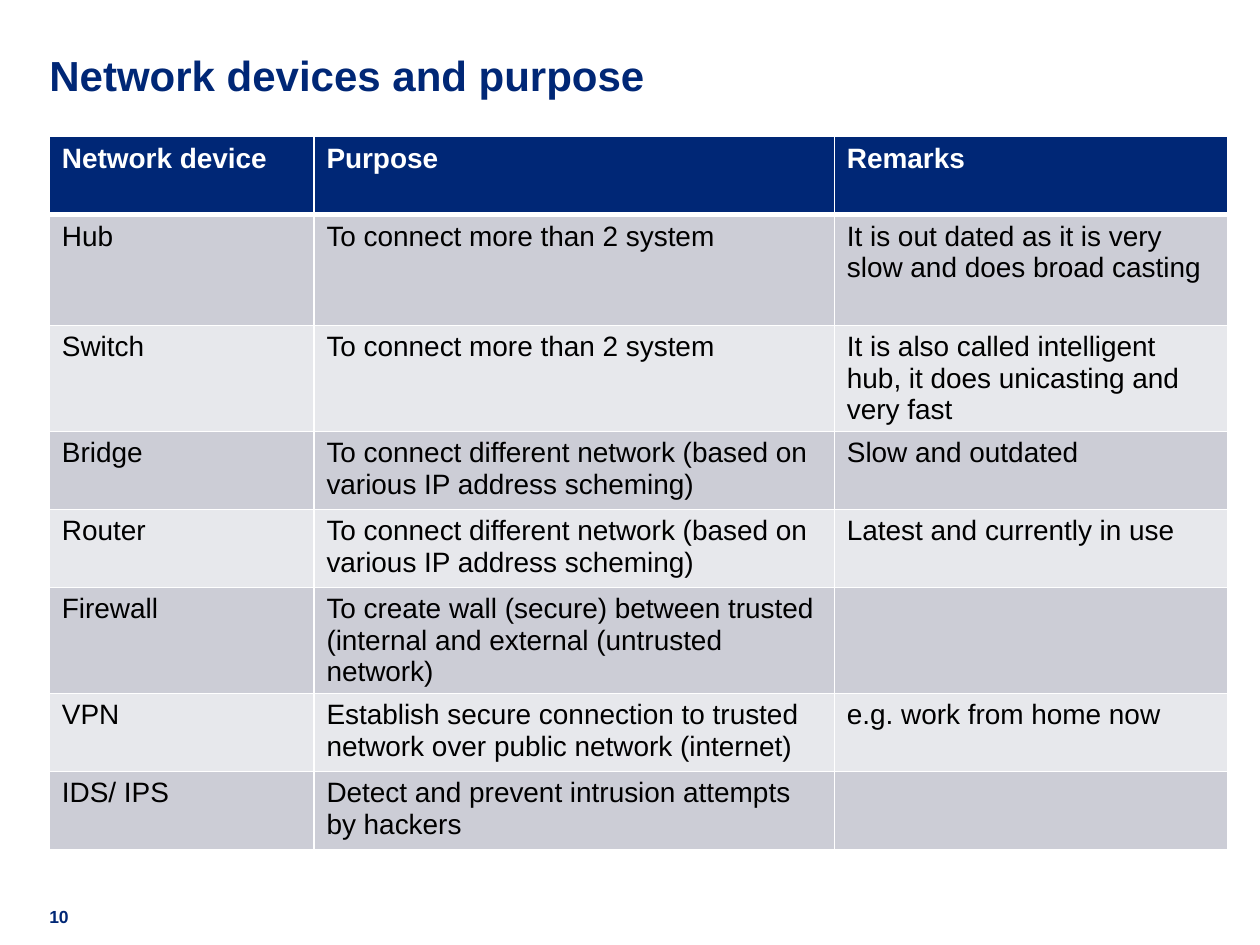
from dataclasses import dataclass

from lxml import etree
from pptx import Presentation
from pptx.dml.color import RGBColor
from pptx.enum import text as tx
from pptx.oxml import ns
from pptx.util import Pt


@dataclass(frozen=True)
class Theme:
    font: str = "Arial"
    navy: str = "002776"
    white: str = "FFFFFF"
    black: str = "000000"
    bands: tuple = ("CCCDD6", "E7E8EC")
    title: int = 24
    body: int = 16
    page: int = 10


THEME = Theme()
LEFT = 28.2
COLS = (151.2, 297.4, 224.6)
ROW = 44.6
HUB = 63.4
ROWS = (
    ("Network device", "Purpose", "Remarks"),
    ("Hub", "To connect more than 2 system",
     "It is out dated as it is very slow and does broad casting"),
    ("Switch", "To connect more than 2 system",
     "It is also called intelligent hub, it does unicasting and very fast"),
    ("Bridge",
     "To connect different network (based on various IP address scheming)",
     "Slow and outdated"),
    ("Router",
     "To connect different network (based on various IP address scheming)",
     "Latest and currently in use"),
    ("Firewall",
     "To create wall (secure) between trusted (internal and external "
     "(untrusted network)", ""),
    ("VPN",
     "Establish secure connection to trusted network over public network "
     "(internet)", "e.g. work from home now"),
    ("IDS/ IPS", "Detect and prevent intrusion attempts by hackers", ""),
)


def write(frame, words, size, color, bold=False):
    para = frame.paragraphs[0]
    para.text = words
    para.alignment = tx.PP_ALIGN.LEFT
    font = para.font
    font.name, font.size, font.bold = THEME.font, Pt(size), bold
    font.color.rgb = RGBColor.from_string(color)


def place(shape, left, top, width, height):
    """Set the bounds of a text shape and clear its insets."""
    shape.left, shape.top = Pt(left), Pt(top)
    shape.width, shape.height = Pt(width), Pt(height)
    frame = shape.text_frame
    frame.margin_left = frame.margin_right = 0
    frame.margin_top = frame.margin_bottom = 0
    frame.vertical_anchor = tx.MSO_ANCHOR.TOP
    frame.auto_size = tx.MSO_AUTO_SIZE.NONE
    frame.word_wrap = True
    return frame


def edge(cell, side, width):
    props = cell._tc.get_or_add_tcPr()
    line = etree.SubElement(props, ns.qn(f"a:ln{side}"), w=str(Pt(width)))
    fill = etree.SubElement(line, ns.qn("a:solidFill"))
    etree.SubElement(fill, ns.qn("a:srgbClr"), val=THEME.white)


def draw_cell(cell, words, row):
    head = row == 0
    thick = {0: "B", 1: "T"}.get(row)
    for side in "LRTB":
        edge(cell, side, 3 if side == thick else 1)
    shade = THEME.navy if head else THEME.bands[(row - 1) % 2]
    cell.fill.solid()
    cell.fill.fore_color.rgb = RGBColor.from_string(shade)
    write(cell.text_frame, words, THEME.body,
          THEME.white if head else THEME.black, bold=head)


def draw_table(slide):
    highs = [HUB if row[0] == "Hub" else ROW for row in ROWS]
    table = slide.shapes.add_table(
        len(ROWS), len(COLS), Pt(LEFT), Pt(78),
        Pt(sum(COLS)), Pt(sum(highs))).table
    for col, width in zip(table.columns, COLS):
        col.width = Pt(width)
    for i, (row, high) in enumerate(zip(ROWS, highs)):
        table.rows[i].height = Pt(high)
        for j, words in enumerate(row):
            draw_cell(table.cell(i, j), words, i)


def main():
    deck = Presentation()
    deck.slide_width, deck.slide_height = Pt(720), Pt(540)
    slide = deck.slides.add_slide(deck.slide_layouts[5])
    title = place(slide.shapes.title, LEFT, 28.2, 663, 49.6)
    write(title, "Network devices and purpose", THEME.title, THEME.navy,
          bold=True)
    box = slide.shapes.add_textbox(0, 0, 0, 0)
    page = place(box, LEFT, 517.6, 28, 9.4)
    write(page, "10", THEME.page, THEME.navy, bold=True)
    draw_table(slide)
    deck.save("out.pptx")


if __name__ == "__main__":
    main()
